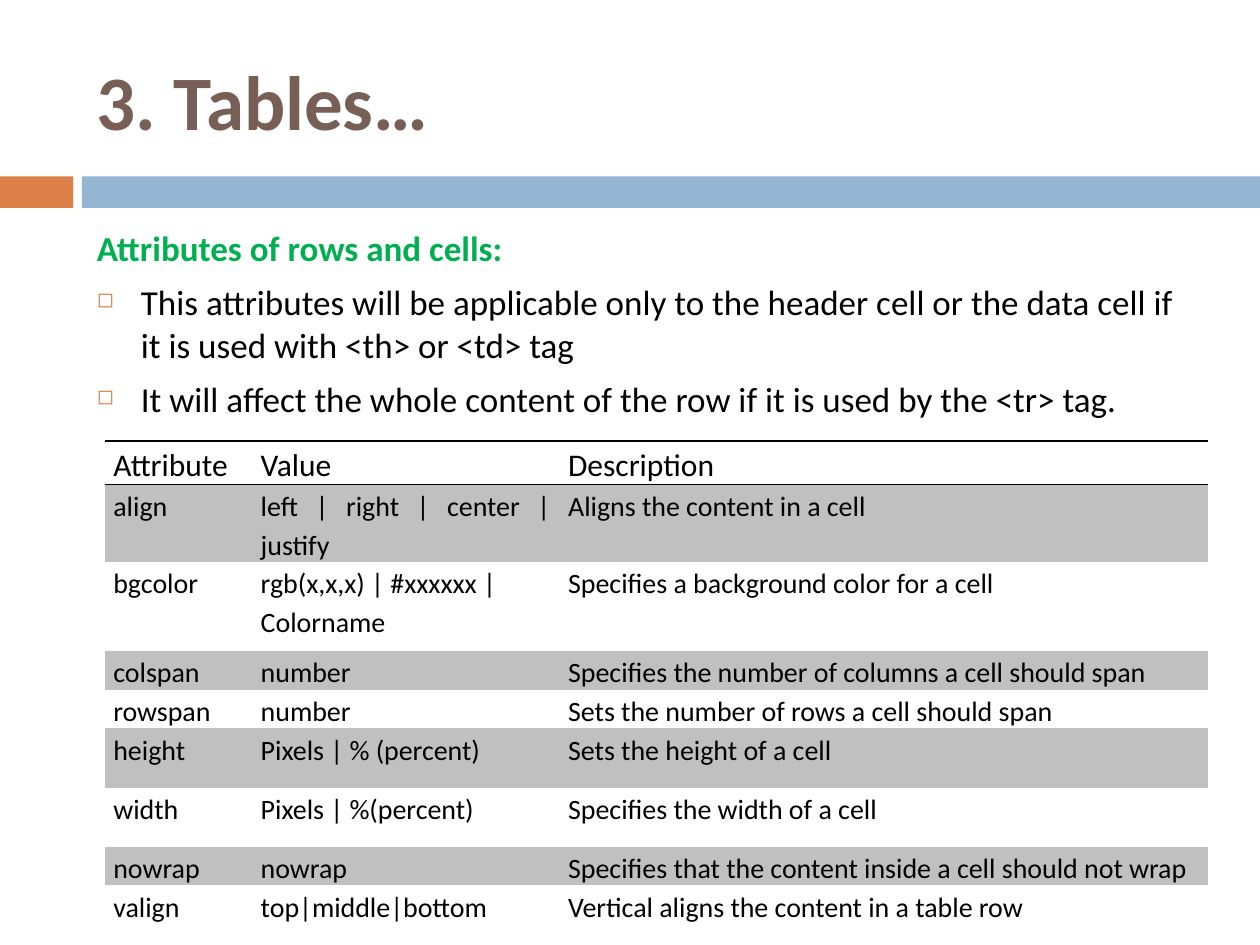
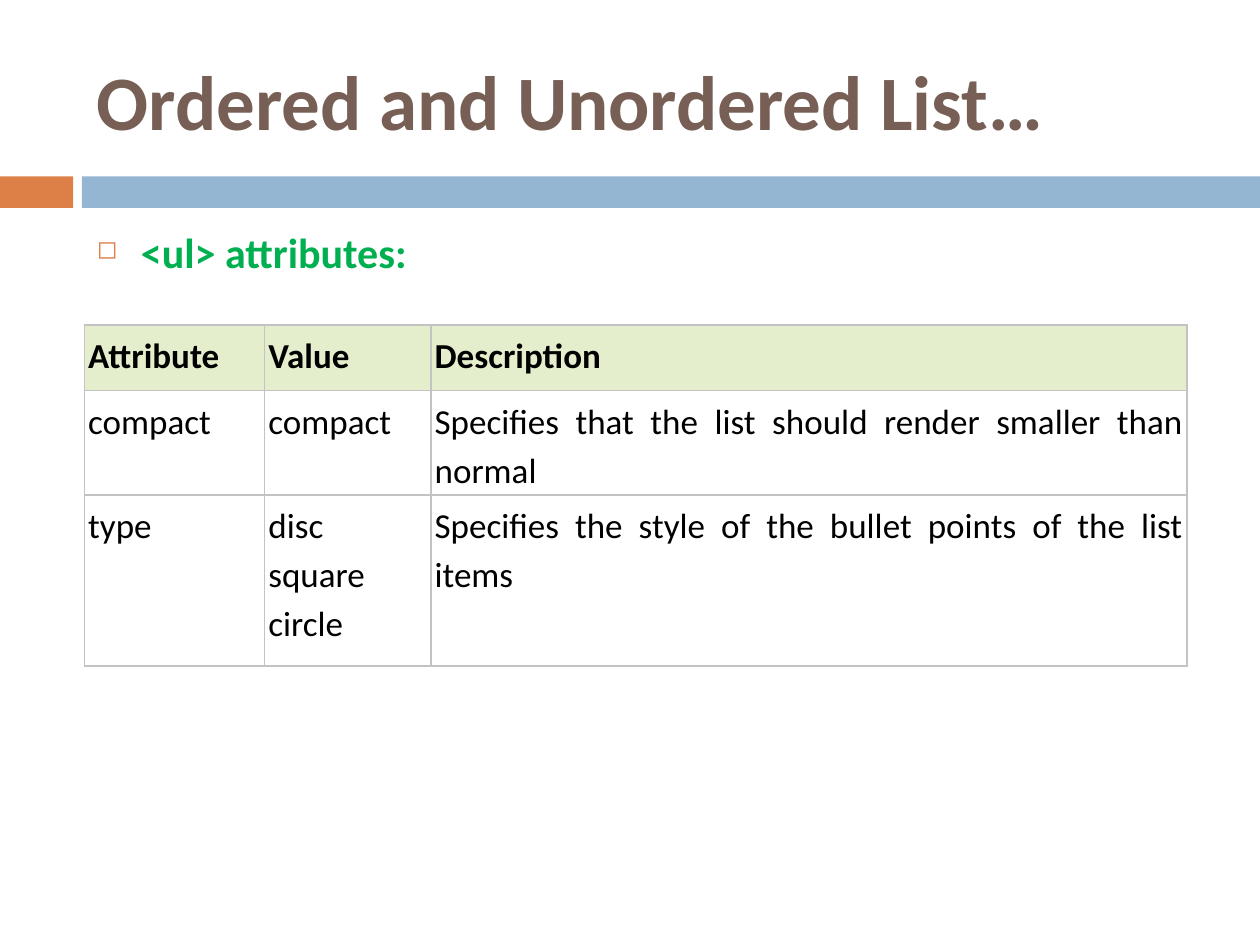
from dataclasses import dataclass
from typing import Any, Optional

from lxml.etree import SubElement
from pptx import Presentation
from pptx.dml.color import RGBColor
from pptx.enum.shapes import MSO_SHAPE
from pptx.enum.text import MSO_ANCHOR, PP_ALIGN
from pptx.oxml.ns import qn
from pptx.util import Emu, Pt

PIXELS_PER_INCH = 100
EMU_PER_PIXEL = 914400 // PIXELS_PER_INCH


@dataclass(frozen=True)
class Theme:
    font: str = "Calibri"
    black: str = "000000"
    brown: str = "775F55"
    orange: str = "DD8047"
    blue: str = "94B6D2"
    green: str = "00B050"
    silver: str = "C0C0C0"
    pale_green: str = "E5EECC"
    grid_gray: str = "C3C3C3"
    title_size: int = 44
    heading_size: int = 24
    body_size: int = 20
    table_head_size: int = 18
    table_size: int = 16


THEME = Theme()


@dataclass(frozen=True)
class Area:
    left: int
    top: int
    width: int
    height: int

    def emu(self) -> tuple[Emu, ...]:
        return tuple(px(n) for n in (self.left, self.top, self.width, self.height))


@dataclass(frozen=True)
class Band:
    area: Area
    color: str


@dataclass(frozen=True)
class TextStyle:
    size: int
    color: str = THEME.black
    bold: bool = False


@dataclass(frozen=True)
class BodyLine:
    text: str
    style: TextStyle
    bullet: bool = True


@dataclass(frozen=True)
class TableLook:
    head: TextStyle
    body: TextStyle
    inset_x: int
    inset_y: int
    line_color: str
    grid: bool = False
    head_fill: Optional[str] = None
    stripe_fill: Optional[str] = None

    def fill(self, row: int) -> Optional[str]:
        if row == 0:
            return self.head_fill
        return self.stripe_fill if row % 2 else None

    def edges(self, row: int, row_count: int) -> str:
        if self.grid:
            return "LRTB"
        top = "T" if row < 2 else ""
        bottom = "B" if row in (0, row_count - 1) else ""
        return top + bottom


@dataclass(frozen=True)
class TableData:
    left: int
    top: int
    columns: tuple[int, ...]
    row_heights: tuple[int, ...]
    rows: tuple[tuple[str, ...], ...]
    look: TableLook


@dataclass(frozen=True)
class PageData:
    title: str
    lines: tuple[BodyLine, ...]
    table: TableData


BANDS = (
    Band(Area(0, 140, 58, 25), THEME.orange),
    Band(Area(65, 140, 935, 25), THEME.blue),
)
TITLE_AREA = Area(67, 25, 892, 108)
BODY_AREA = Area(67, 175, 892, 492)
BULLET_INDENT = 35

TITLE = TextStyle(THEME.title_size, THEME.brown, True)
BODY = TextStyle(THEME.body_size)
HEADER = ("Attribute", "Value", "Description")

STRIPED = TableLook(
    TextStyle(THEME.table_head_size), TextStyle(THEME.table_size),
    7, 0, THEME.black, stripe_fill=THEME.silver,
)
GRID = TableLook(
    TextStyle(THEME.body_size, bold=True), BODY,
    3, 3, THEME.grid_gray, grid=True, head_fill=THEME.pale_green,
)

PAGES = (
    PageData(
        "3. Tables…",
        (
            BodyLine("Attributes of rows and cells:",
                     TextStyle(THEME.body_size, THEME.green, True), False),
            BodyLine("This attributes will be applicable only to the header cell "
                     "or the data cell if it is used with <th> or <td> tag", BODY),
            BodyLine("It will affect the whole content of the row if it is used "
                     "by the <tr> tag.", BODY),
        ),
        TableData(
            83, 350, (117, 244, 515), (24, 47, 71, 24, 24, 47, 47, 24, 52),
            (
                HEADER,
                ("align", "left | right | center | justify",
                 "Aligns the content in a cell"),
                ("bgcolor", "rgb(x,x,x) | #xxxxxx |\nColorname",
                 "Specifies a background color for a cell"),
                ("colspan", "number",
                 "Specifies the number of columns a cell should span"),
                ("rowspan", "number", "Sets the number of rows a cell should span"),
                ("height", "Pixels | % (percent)", "Sets the height of a cell"),
                ("width", "Pixels | %(percent)", "Specifies the width of a cell"),
                ("nowrap", "nowrap",
                 "Specifies that the content inside a cell should not wrap"),
                ("valign", "top|middle|bottom",
                 "Vertical aligns the content in a table row"),
            ),
            STRIPED,
        ),
    ),
    PageData(
        "Ordered and Unordered List…",
        (BodyLine("<ul> attributes:",
                  TextStyle(THEME.heading_size, THEME.green, True)),),
        TableData(
            67, 258, (143, 132, 600), (52, 79, 136),
            (
                HEADER,
                ("compact", "compact",
                 "Specifies that the list should render smaller than normal"),
                ("type", "disc\nsquare\ncircle",
                 "Specifies the style of the bullet points of the list items"),
            ),
            GRID,
        ),
    ),
)


def px(length: int) -> Emu:
    return Emu(length * EMU_PER_PIXEL)


def set_values(target: Any, values: dict[str, Any]) -> None:
    for name, value in values.items():
        setattr(target, name, value)


def add_span(para: Any, text: str, style: TextStyle) -> None:
    span = para.add_run()
    span.text = text
    set_values(span.font, {
        "name": THEME.font, "size": Pt(style.size), "bold": style.bold,
    })
    span.font.color.rgb = RGBColor.from_string(style.color)


def next_para(frame: Any, index: int) -> Any:
    return frame.add_paragraph() if index else frame.paragraphs[0]


def add_band(page: Any, band: Band) -> None:
    shape = page.shapes.add_shape(MSO_SHAPE.RECTANGLE, *band.area.emu())
    shape.shadow.inherit = False
    shape.fill.solid()
    shape.fill.fore_color.rgb = RGBColor.from_string(band.color)
    shape.line.fill.background()


def add_text_frame(page: Any, area: Area, anchor: MSO_ANCHOR) -> Any:
    frame = page.shapes.add_textbox(*area.emu()).text_frame
    set_values(frame, {"word_wrap": True, "vertical_anchor": anchor})
    return frame


def set_bullet(para: Any, visible: bool) -> None:
    properties = para._p.get_or_add_pPr()
    properties.set("marL", str(px(BULLET_INDENT)))
    properties.set("indent", str(-px(BULLET_INDENT)))
    if not visible:
        SubElement(properties, qn("a:buNone"))
        return
    color = SubElement(properties, qn("a:buClr"))
    SubElement(color, qn("a:srgbClr"), val=THEME.orange)
    SubElement(properties, qn("a:buSzPct"), val="60000")
    SubElement(properties, qn("a:buChar"), char="◻")


def add_body(page: Any, lines: tuple[BodyLine, ...]) -> None:
    frame = add_text_frame(page, BODY_AREA, MSO_ANCHOR.TOP)
    for index, line in enumerate(lines):
        para = next_para(frame, index)
        para.space_before = Pt(7)
        set_bullet(para, line.bullet)
        add_span(para, line.text, line.style)


def set_borders(cell: Any, edges: str, color: str) -> None:
    properties = cell._tc.get_or_add_tcPr()
    for side in "LRTB":
        line = SubElement(properties, qn(f"a:ln{side}"), w=str(Pt(1)))
        if side in edges:
            fill = SubElement(line, qn("a:solidFill"))
            SubElement(fill, qn("a:srgbClr"), val=color)
        else:
            SubElement(line, qn("a:noFill"))


def fill_cell(cell: Any, text: str, row: int, row_count: int, look: TableLook) -> None:
    set_values(cell, {
        "margin_left": px(look.inset_x), "margin_right": px(look.inset_x),
        "margin_top": px(look.inset_y), "margin_bottom": px(look.inset_y),
    })
    set_borders(cell, look.edges(row, row_count), look.line_color)
    color = look.fill(row)
    if color:
        cell.fill.solid()
        cell.fill.fore_color.rgb = RGBColor.from_string(color)
    else:
        cell.fill.background()
    for index, line in enumerate(text.split("\n")):
        para = next_para(cell.text_frame, index)
        set_values(para, {"alignment": PP_ALIGN.JUSTIFY, "line_spacing": 1.15})
        add_span(para, line, look.body if row else look.head)


def add_data_table(page: Any, data: TableData) -> None:
    area = Area(data.left, data.top, sum(data.columns), sum(data.row_heights))
    row_count = len(data.rows)
    table = page.shapes.add_table(row_count, len(data.columns), *area.emu()).table
    set_values(table, {"first_row": False, "horz_banding": False})
    for column, width in zip(table.columns, data.columns):
        column.width = px(width)
    for row, (height, texts) in enumerate(zip(data.row_heights, data.rows)):
        table.rows[row].height = px(height)
        for column, text in enumerate(texts):
            fill_cell(table.cell(row, column), text, row, row_count, data.look)


def add_page(deck: Any, data: PageData) -> None:
    page = deck.slides.add_slide(deck.slide_layouts[6])
    for band in BANDS:
        add_band(page, band)
    title = add_text_frame(page, TITLE_AREA, MSO_ANCHOR.MIDDLE)
    add_span(title.paragraphs[0], data.title, TITLE)
    add_body(page, data.lines)
    add_data_table(page, data.table)


def main() -> None:
    deck = Presentation()
    set_values(deck, {"slide_width": px(1000), "slide_height": px(750)})
    for data in PAGES:
        add_page(deck, data)
    deck.save("out.pptx")


if __name__ == "__main__":
    main()
